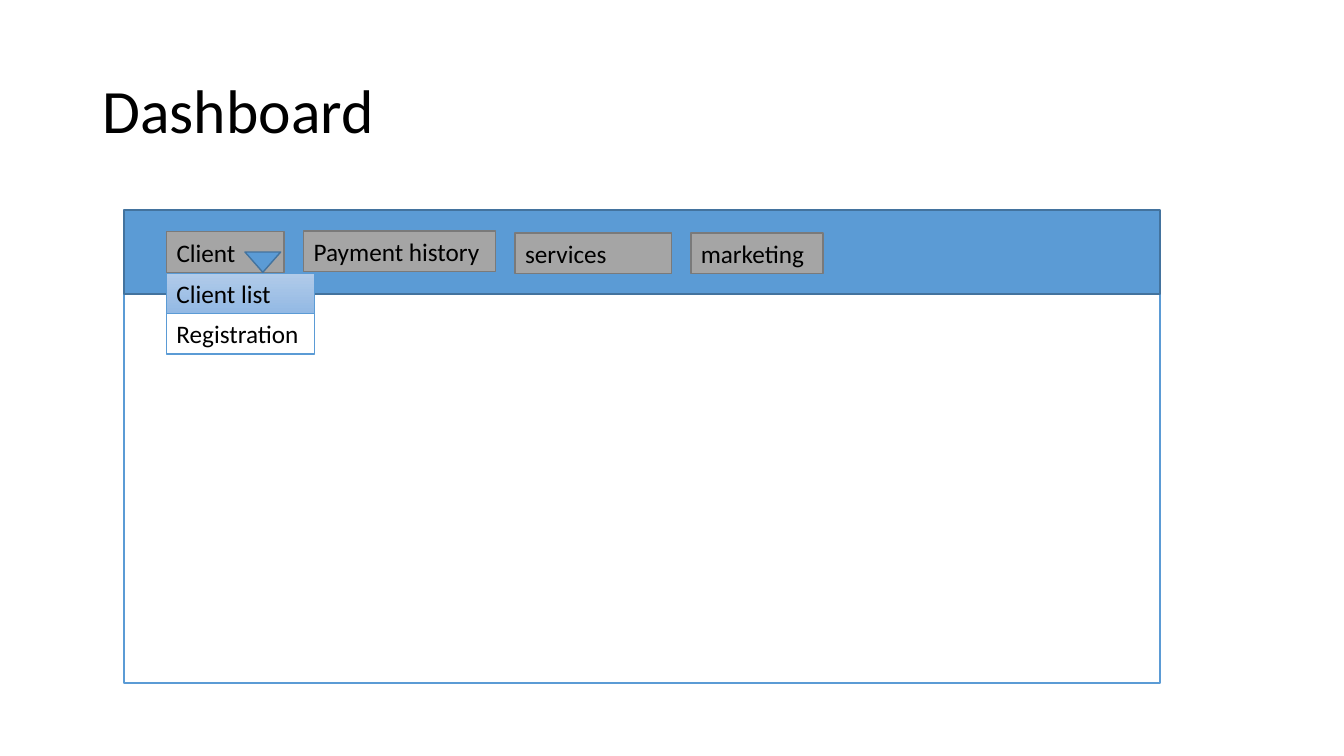
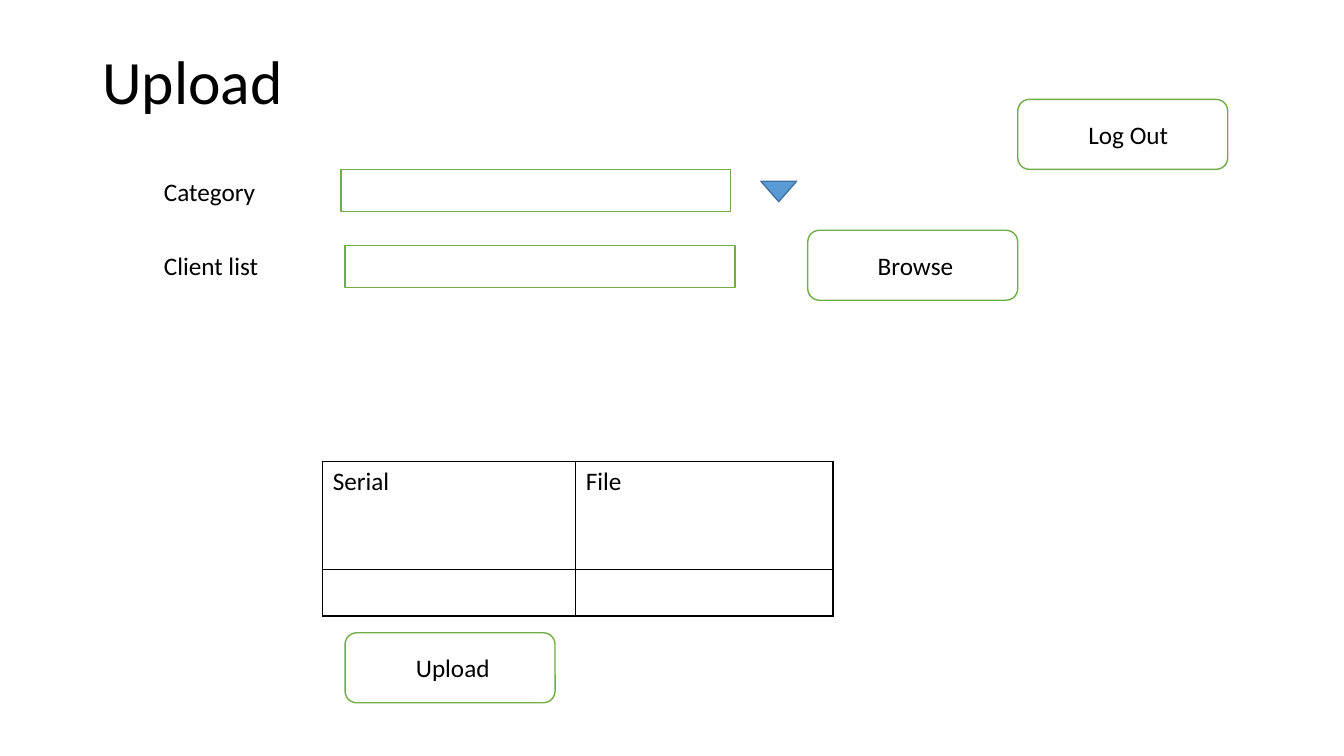
from dataclasses import dataclass
from typing import Optional

from lxml.etree import SubElement
from pptx import Presentation
from pptx.dml.color import RGBColor
from pptx.enum.shapes import MSO_SHAPE
from pptx.enum.text import MSO_ANCHOR, MSO_AUTO_SIZE, PP_ALIGN
from pptx.oxml.ns import qn
from pptx.util import Pt

FONT = "Calibri"
BLACK, WHITE = "000000", "FFFFFF"
BLUE, DARK_BLUE = "5B9BD5", "43739E"
GRAY, DARK_GRAY = "A5A5A5", "7A7A7A"
GREEN = "70AD47"
HIGHLIGHT = ("B1CBE9", "93B9E4")

TEXT_SIZE = 18
TITLE_SIZE = 44
ROW_HEIGHT = 29


@dataclass(frozen=True)
class Area:
    left: float
    top: float
    width: float
    height: float

    def lengths(self):
        return Pt(self.left), Pt(self.top), Pt(self.width), Pt(self.height)


@dataclass(frozen=True)
class MenuItem:
    text: str
    top: float
    width: float


@dataclass(frozen=True)
class Button:
    text: str
    left: float
    top: float


@dataclass(frozen=True)
class Field:
    label: str
    label_top: float
    label_width: float
    left: float
    top: float


MENU = (
    MenuItem("Client", 165.5, 84),
    MenuItem("Payment history", 165, 137),
    MenuItem("services", 166.5, 111.5),
    MenuItem("marketing", 166.5, 94.5),
)
MENU_LEFT, MENU_GAP = 119, 14
DROPDOWN = ("Client list", "Registration")

FIELDS = (
    Field("Category", 122.5, 135, 243.5, 121),
    Field("Client list", 175.5, 187, 246.5, 175.5),
)
BUTTONS = (
    Button("Log Out", 727, 71),
    Button("Upload ", 246.5, 452),
    Button("Browse ", 577, 164.5),
)

TABLE_ROWS = (("Serial", "File"), ("", ""))
COLUMN_WIDTHS = (180.75, 183.75)
ROW_HEIGHTS = (77.5, 33)


def color(value: str) -> RGBColor:
    return RGBColor.from_string(value)


def write(frame, text: str, size: float = TEXT_SIZE, align=PP_ALIGN.LEFT):
    para = frame.paragraphs[0]
    para.alignment = align
    span = para.add_run()
    span.text = text
    span.font.name = FONT
    span.font.size = Pt(size)
    span.font.color.rgb = color(BLACK)
    return para


def add_page(deck, title: str, area: Area):
    page = deck.slides.add_slide(deck.slide_layouts[5])
    box = page.shapes.title
    box.left, box.top, box.width, box.height = area.lengths()
    frame = box.text_frame
    frame.auto_size = MSO_AUTO_SIZE.NONE
    frame.vertical_anchor = MSO_ANCHOR.MIDDLE
    write(frame, title, TITLE_SIZE).line_spacing = 0.9
    return page


def add_box(page, area: Area, fill: str, line: str, text: Optional[str] = None,
            kind=MSO_SHAPE.RECTANGLE, align=PP_ALIGN.LEFT):
    box = page.shapes.add_shape(kind, *area.lengths())
    box.shadow.inherit = False
    box.fill.solid()
    box.fill.fore_color.rgb = color(fill)
    box.line.color.rgb = color(line)
    box.line.width = Pt(1)
    if text:
        box.text_frame.word_wrap = True
        box.text_frame.vertical_anchor = MSO_ANCHOR.MIDDLE
        write(box.text_frame, text, align=align)
    return box


def add_dropdown_arrow(page, left: float, top: float) -> None:
    arrow = add_box(page, Area(left, top, 25.5, 14.5), BLUE, DARK_BLUE,
                    kind=MSO_SHAPE.ISOSCELES_TRIANGLE)
    arrow.rotation = 180


def add_menu(page) -> None:
    left = MENU_LEFT
    for item in MENU:
        add_box(page, Area(left, item.top, item.width, ROW_HEIGHT),
                GRAY, DARK_GRAY, item.text)
        left += item.width + MENU_GAP
    add_dropdown_arrow(page, 175, 180)


def add_dropdown(page) -> None:
    """Draw the open list under the first menu item, its first entry highlighted."""
    for index, text in enumerate(DROPDOWN):
        area = Area(MENU_LEFT, 195 + index * ROW_HEIGHT, 105.5, ROW_HEIGHT)
        entry = add_box(page, area, WHITE, BLUE, text)
        if index == 0:
            entry.line.width = Pt(0.5)
            entry.fill.gradient()
            entry.fill.gradient_angle = 270
            for stop, shade in zip(entry.fill.gradient_stops, HIGHLIGHT):
                stop.color.rgb = color(shade)


def add_field(page, field: Field) -> None:
    label = page.shapes.add_textbox(
        *Area(110, field.label_top, field.label_width, ROW_HEIGHT).lengths())
    label.text_frame.word_wrap = True
    write(label.text_frame, field.label)
    add_box(page, Area(field.left, field.top, 278.5, 30), WHITE, GREEN)


def add_button(page, button: Button) -> None:
    box = add_box(page, Area(button.left, button.top, 150, 50), WHITE, GREEN,
                  button.text, MSO_SHAPE.ROUNDED_RECTANGLE, PP_ALIGN.CENTER)
    box.text_frame.margin_left = Pt(15)


def set_borders(cell) -> None:
    properties = cell._tc.get_or_add_tcPr()
    for index, side in enumerate(("a:lnL", "a:lnR", "a:lnT", "a:lnB")):
        line = properties.makeelement(qn(side), {"w": str(Pt(1))})
        fill = SubElement(line, qn("a:solidFill"))
        SubElement(fill, qn("a:srgbClr"), val=BLACK)
        properties.insert(index, line)


def add_file_table(page) -> None:
    area = Area(230.5, 329.5, sum(COLUMN_WIDTHS), sum(ROW_HEIGHTS))
    table = page.shapes.add_table(
        len(ROW_HEIGHTS), len(COLUMN_WIDTHS), *area.lengths()).table
    table.first_row = False
    table.horz_banding = False
    for column, width in zip(table.columns, COLUMN_WIDTHS):
        column.width = Pt(width)
    for row, height, texts in zip(table.rows, ROW_HEIGHTS, TABLE_ROWS):
        row.height = Pt(height)
        for cell, text in zip(row.cells, texts):
            cell.fill.background()
            set_borders(cell)
            if text:
                write(cell.text_frame, text)


def build_dashboard(deck) -> None:
    page = add_page(deck, "Dashboard", Area(66, 29, 828, 104))
    add_box(page, Area(88.5, 151, 740, 337), WHITE, BLUE)
    add_box(page, Area(88.5, 150, 740, 60), BLUE, DARK_BLUE)
    add_menu(page)
    add_dropdown(page)


def build_upload(deck) -> None:
    page = add_page(deck, "Upload", Area(66, 29, 343.5, 62.5))
    for field in FIELDS:
        add_field(page, field)
    add_dropdown_arrow(page, 543.5, 129.5)
    for button in BUTTONS:
        add_button(page, button)
    add_file_table(page)


def main() -> None:
    deck = Presentation()
    deck.slide_width, deck.slide_height = Pt(960), Pt(540)
    build_dashboard(deck)
    build_upload(deck)
    deck.save("out.pptx")


if __name__ == "__main__":
    main()
